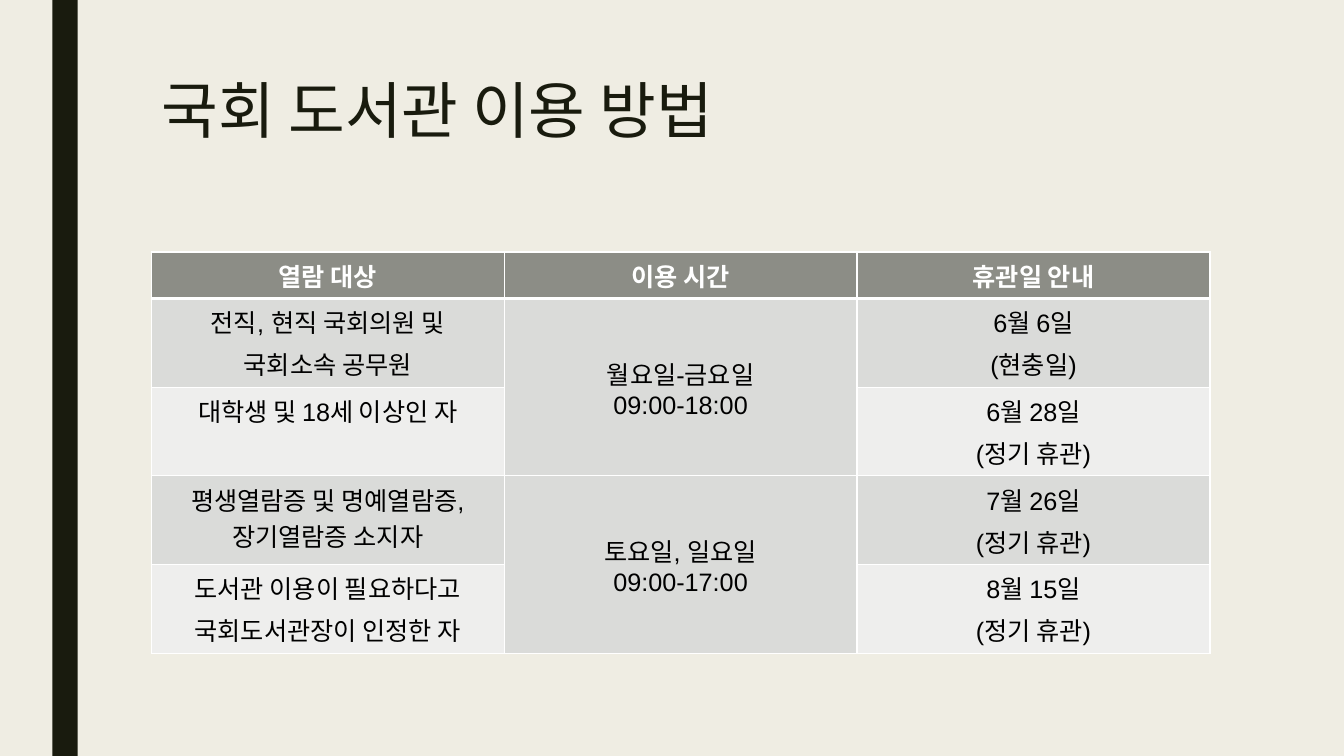
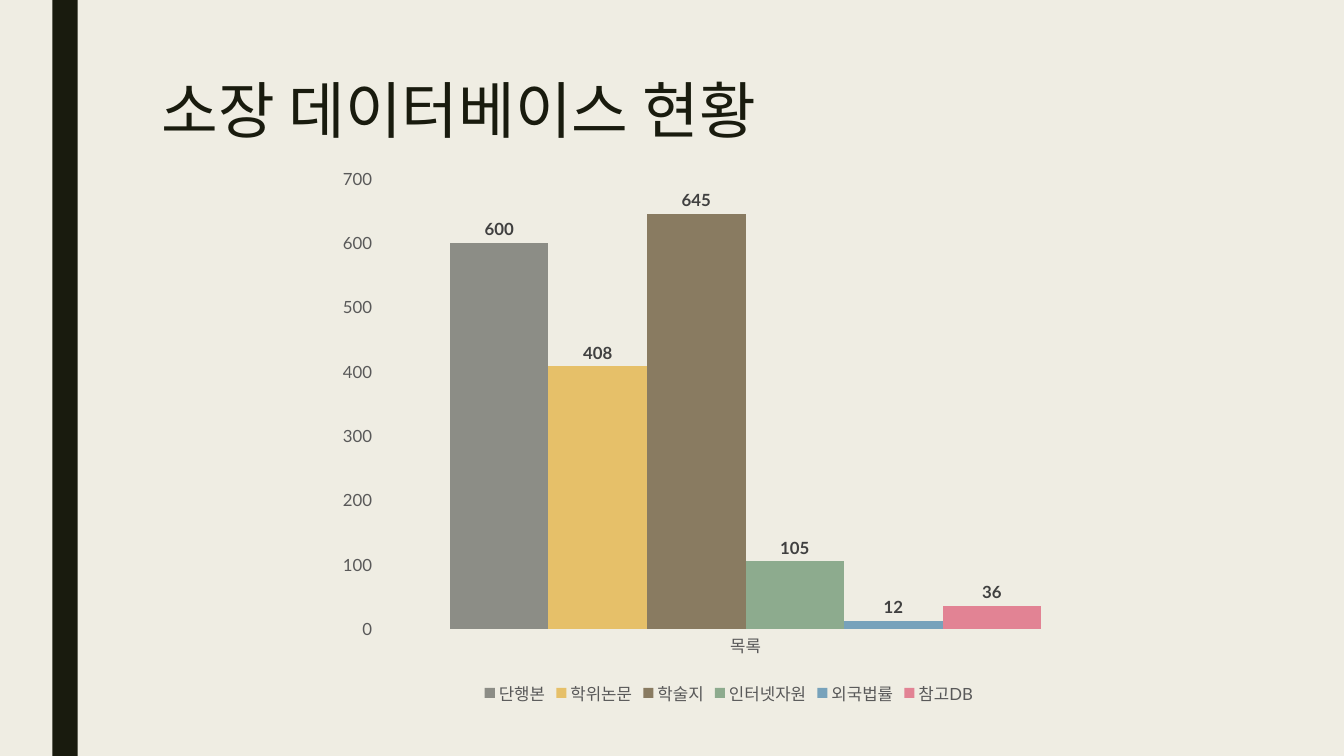
from lxml import etree
from pptx import Presentation
from pptx.chart.data import CategoryChartData
from pptx.dml.color import RGBColor
from pptx.enum.chart import XL_CHART_TYPE as ChartType
from pptx.enum.chart import XL_LABEL_POSITION as LabelPosition
from pptx.enum.chart import XL_LEGEND_POSITION as LegendPosition
from pptx.enum.chart import XL_TICK_MARK as TickMark
from pptx.enum.shapes import MSO_SHAPE as Shape
from pptx.enum.text import MSO_ANCHOR as Anchor
from pptx.enum.text import PP_ALIGN as Align
from pptx.oxml.ns import qn
from pptx.util import Inches, Pt

COLORS = {
    "paper": "EFEDE3", "ink": "191B0E", "white": "FFFFFF", "black": "000000",
    "header": "8C8D86", "odd_row": "DADBD9", "even_row": "EEEEED",
    "axis_text": "595959", "label_text": "404040",
}
TITLE_FONT, TABLE_FONT, CHART_FONT = "Lato", "Arial", "Lato"
MARGIN, CONTENT_WIDTH = 1.5, 10.5

TABLE_TITLE = "국회 도서관 이용 방법"
HEADERS = ["열람 대상", "이용 시간", "휴관일 안내"]
READERS = [
    ["전직, 현직 국회의원 및", "국회소속 공무원"],
    ["대학생 및 18세 이상인 자"],
    ["평생열람증 및 명예열람증,장기열람증 소지자"],
    ["도서관 이용이 필요하다고", "국회도서관장이 인정한 자"],
]
HOURS = [["월요일-금요일", "09:00-18:00"], ["토요일, 일요일", "09:00-17:00"]]
CLOSED_DAYS = [
    ["6월 6일", "(현충일)"],
    ["6월 28일", "(정기 휴관)"],
    ["7월 26일", "(정기 휴관)"],
    ["8월 15일", "(정기 휴관)"],
]
HEADER_HEIGHT, ROW_HEIGHT = 0.46, 0.87
ROWS_PER_HOURS = len(READERS) // len(HOURS)

CHART_TITLE = "소장 데이터베이스 현황"
CATEGORY = "목록"
HOLDINGS = [
    ("단행본", 600, "8C8D86"),
    ("학위논문", 408, "E6C069"),
    ("학술지", 645, "897B61"),
    ("인터넷자원", 105, "8DAB8E"),
    ("외국법률", 12, "77A2BB"),
    ("참고DB", 36, "E28394"),
]


def rgb(name):
    return RGBColor.from_string(COLORS.get(name, name))


def style_font(font, name, size, color, bold=False):
    font.name, font.size, font.bold = name, Pt(size), bold
    font.color.rgb = rgb(color)


def prepare_master(deck, layout):
    """Give every slide the paper background, the title place and the side band."""
    master = deck.slide_master
    master.background.fill.solid()
    master.background.fill.fore_color.rgb = rgb("paper")
    title = layout.placeholders[0]
    title.left, title.top = Inches(MARGIN), Inches(0.75)
    title.width, title.height = Inches(CONTENT_WIDTH), Inches(1.62)


def add_band(slide, layout):
    """Draw the band with the slide's shape tools, then hand it to the layout."""
    band = slide.shapes.add_shape(Shape.RECTANGLE, Inches(0.52), 0,
                                  Inches(0.25), Inches(7.5))
    band.shadow.inherit = False
    band.fill.solid()
    band.fill.fore_color.rgb = rgb("ink")
    band.line.fill.background()
    layout.shapes.element.insert(2, band.element)


def add_titled_slide(deck, layout, text):
    slide = deck.slides.add_slide(layout)
    frame = slide.shapes.title.text_frame
    frame.text = text
    frame.vertical_anchor = Anchor.TOP
    para = frame.paragraphs[0]
    para.alignment, para.line_spacing = Align.LEFT, 0.89
    style_font(para.runs[0].font, TITLE_FONT, 44, "ink")
    return slide


def add_borders(cell, bottom_width):
    properties = cell._tc.get_or_add_tcPr()
    for side in "LRTB":
        width = bottom_width if side == "B" else 1
        line = etree.SubElement(properties, qn(f"a:ln{side}"), w=str(Pt(width)))
        fill = etree.SubElement(line, qn("a:solidFill"))
        etree.SubElement(fill, qn("a:srgbClr"), val=COLORS["white"])


def fill_cell(cell, lines, color="black", bold=False, gap=0):
    cell.text_frame.text = "\n".join(lines)
    for index, para in enumerate(cell.text_frame.paragraphs):
        para.alignment = Align.CENTER
        if index:
            para.space_before = Pt(gap)
        for span in para.runs:
            style_font(span.font, TABLE_FONT, 18, color, bold)


def add_guide_table(slide):
    row_count, column_count = len(READERS) + 1, len(HEADERS)
    height = HEADER_HEIGHT + ROW_HEIGHT * len(READERS)
    table = slide.shapes.add_table(
        row_count, column_count, Inches(MARGIN), Inches(2.5),
        Inches(CONTENT_WIDTH), Inches(height)).table
    for row_index, row in enumerate(table.rows):
        row.height = Inches(ROW_HEIGHT if row_index else HEADER_HEIGHT)
        shade = "odd_row" if row_index % 2 else "even_row"
        for cell in row.cells:
            add_borders(cell, 1 if row_index else 3)
            cell.fill.solid()
            cell.fill.fore_color.rgb = rgb(shade if row_index else "header")

    for column, header in enumerate(HEADERS):
        fill_cell(table.cell(0, column), [header], "white", bold=True)
    for row, (reader, closed) in enumerate(zip(READERS, CLOSED_DAYS), start=1):
        fill_cell(table.cell(row, 0), reader, gap=4)
        fill_cell(table.cell(row, 2), closed, gap=4)
    for index, hours in enumerate(HOURS):
        first = 1 + index * ROWS_PER_HOURS
        cell = table.cell(first, 1)
        cell.merge(table.cell(first + ROWS_PER_HOURS - 1, 1))
        cell.vertical_anchor = Anchor.MIDDLE
        fill_cell(cell, hours)


def add_holdings_chart(slide):
    data = CategoryChartData()
    data.categories = [CATEGORY]
    for name, count, _ in HOLDINGS:
        data.add_series(name, [count])
    chart = slide.shapes.add_chart(
        ChartType.COLUMN_CLUSTERED, Inches(3.24), Inches(1.56),
        Inches(7.98), Inches(5.48), data).chart
    chart.has_title = False
    style_font(chart.font, CHART_FONT, 10, "black")

    chart.has_legend = True
    chart.legend.position = LegendPosition.BOTTOM
    chart.legend.include_in_layout = False
    style_font(chart.legend.font, CHART_FONT, 12, "axis_text")

    for axis in (chart.category_axis, chart.value_axis):
        axis.has_major_gridlines = False
        axis.major_tick_mark = axis.minor_tick_mark = TickMark.NONE
        axis.format.line.fill.background()
        style_font(axis.tick_labels.font, CHART_FONT, 12, "axis_text")
    chart.value_axis.minimum_scale, chart.value_axis.maximum_scale = 0, 700
    chart.value_axis.major_unit = 100

    plot = chart.plots[0]
    plot.gap_width, plot.overlap, plot.vary_by_categories = 150, 0, False
    for series, (_, _, color) in zip(plot.series, HOLDINGS):
        series.format.fill.solid()
        series.format.fill.fore_color.rgb = rgb(color)
        labels = series.data_labels
        labels.show_value = True
        labels.position = LabelPosition.OUTSIDE_END
        style_font(labels.font, CHART_FONT, 12, "label_text", bold=True)


def main():
    deck = Presentation()
    deck.slide_width, deck.slide_height = Inches(13.33), Inches(7.5)
    layout = deck.slide_layouts.get_by_name("Title Only")
    prepare_master(deck, layout)

    guide = add_titled_slide(deck, layout, TABLE_TITLE)
    add_band(guide, layout)
    add_guide_table(guide)
    add_holdings_chart(add_titled_slide(deck, layout, CHART_TITLE))
    deck.save("out.pptx")


if __name__ == "__main__":
    main()
